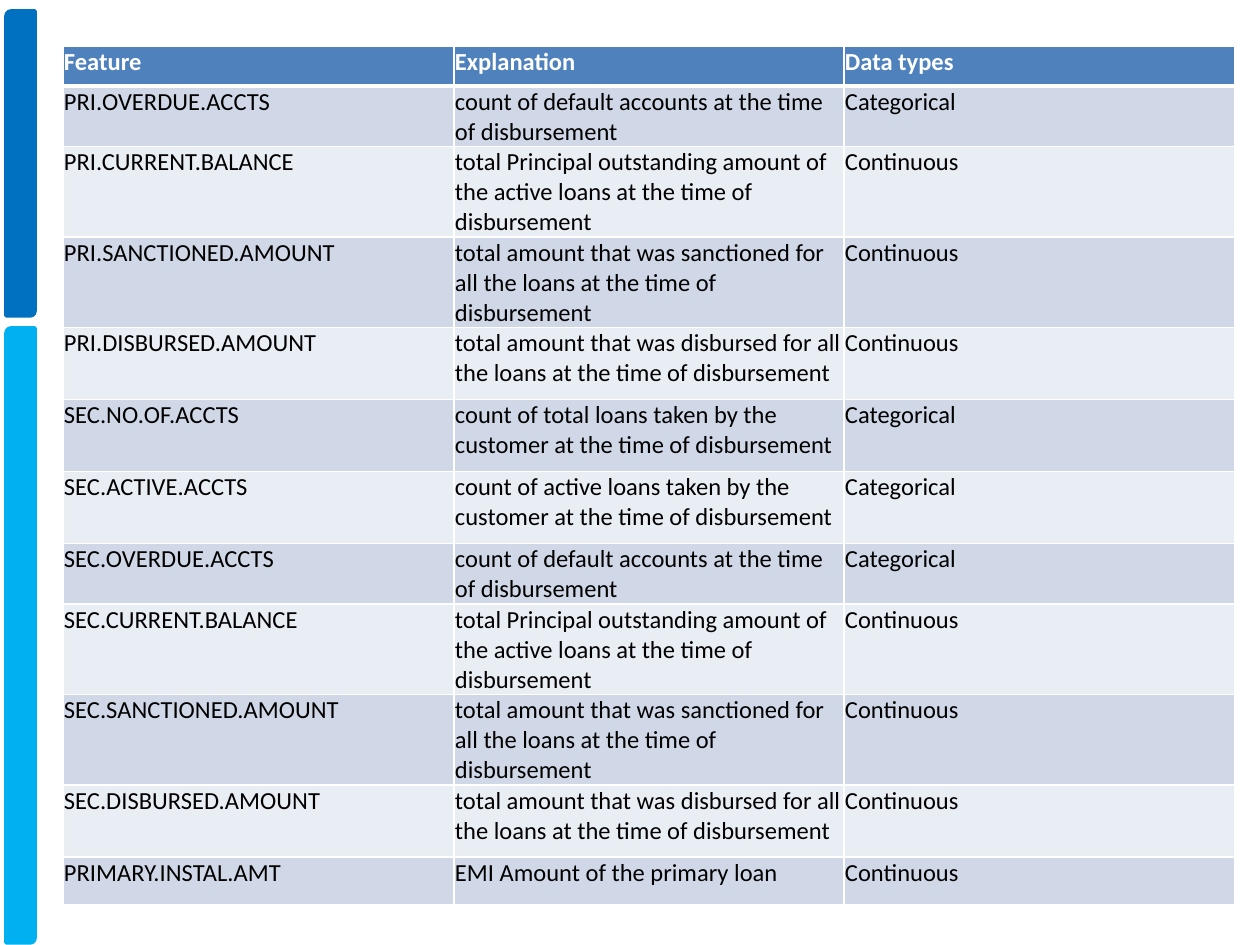
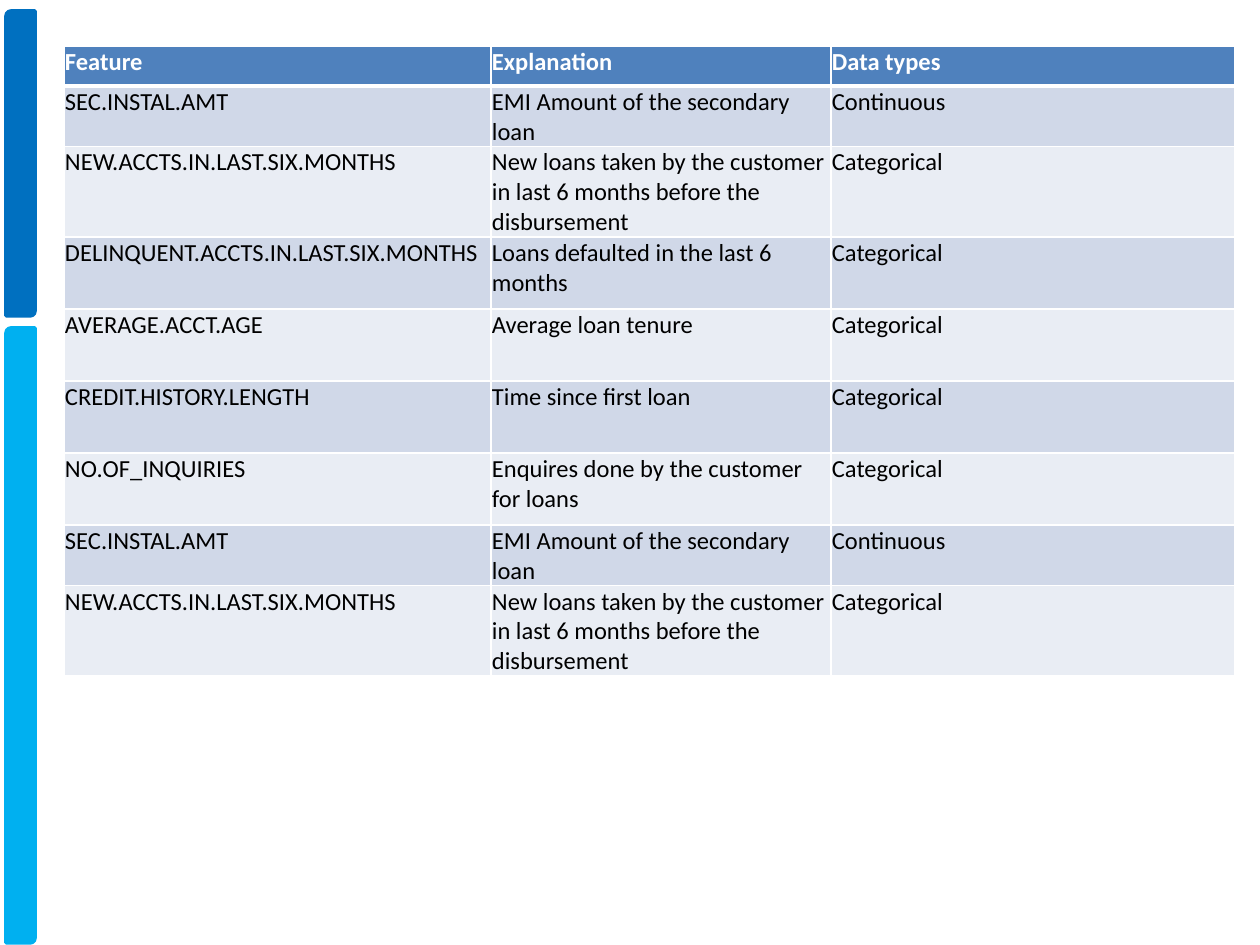
import pptx
import pptx.util
import pptx.dml.color
import pptx.enum.shapes
import pptx.oxml
import pptx.oxml.ns

RGB = pptx.dml.color.RGBColor
NAVY = RGB(0x00, 0x70, 0xC0)
SKY = RGB(0x00, 0xB0, 0xF0)
HEAD = RGB(0x4F, 0x81, 0xBD)
DARK = RGB(0xD0, 0xD8, 0xE8)
LIGHT = RGB(0xE9, 0xED, 0xF4)
WHITE = RGB(0xFF, 0xFF, 0xFF)
BLACK = RGB(0x00, 0x00, 0x00)

SCALE = 914400 / 126  # EMU in one px


def px(n):
    return pptx.util.Emu(round(n * SCALE))


def assign(obj, values):
    for name, value in values.items():
        setattr(obj, name, value)


class Deck:
    font = {"name": "Calibri", "size": pptx.util.Pt(14)}
    inset = {"margin_left": px(1), "margin_right": px(1),
             "margin_top": px(1), "margin_bottom": 0}
    bars = ((11, 305, NAVY), (328, 615, SKY))

    def __init__(self):
        self.prs = pptx.Presentation()
        assign(self.prs, {"slide_width": px(1260), "slide_height": px(945)})

    def page(self):
        self.slide = self.prs.slides.add_slide(self.prs.slide_layouts[6])
        for top, height, color in self.bars:
            self.bar(6, top, 29, height, color)

    def bar(self, left, top, width, height, color):
        kind = pptx.enum.shapes.MSO_SHAPE.ROUND_2_DIAG_RECTANGLE
        shape = self.slide.shapes.add_shape(
            kind, px(left), px(top), px(width), px(height))
        shape.shadow.inherit = False
        shape.fill.solid()
        shape.fill.fore_color.rgb = color
        shape.line.color.rgb = color
        shape.line.width = pptx.util.Pt(2)

    def edges(self, cell, top, bottom):
        props = cell._tc.get_or_add_tcPr()
        for side, width in (("L", 1), ("R", 1), ("T", top), ("B", bottom)):
            props.append(pptx.oxml.parse_xml(
                f'<a:ln{side} {pptx.oxml.ns.nsdecls("a")} w="{pptx.util.Pt(width)}">'
                f'<a:solidFill><a:srgbClr val="{WHITE}"/></a:solidFill></a:ln{side}>'))

    def cell(self, cell, text, row):
        # A thick rule parts the header from the body
        self.edges(cell, 3 if row == 1 else 1, 3 if row == 0 else 1)
        cell.fill.solid()
        cell.fill.fore_color.rgb = HEAD if row == 0 else DARK if row % 2 else LIGHT
        assign(cell, self.inset)
        run = cell.text_frame.paragraphs[0].add_run()
        run.text = text
        assign(run.font, self.font)
        run.font.bold = row == 0
        run.font.color.rgb = WHITE if row == 0 else BLACK

    def table(self, left, top, widths, heights, rows):
        frame = self.slide.shapes.add_table(
            len(rows), len(widths), px(left), px(top),
            px(sum(widths)), px(sum(heights)))
        table = frame.table
        table.horz_banding = False
        for col, width in zip(table.columns, widths):
            col.width = px(width)
        for r, (height, texts) in enumerate(zip(heights, rows)):
            table.rows[r].height = px(height)
            for c, text in enumerate(texts):
                self.cell(table.cell(r, c), text, r)


# Shared wording
TITLES = ("Feature", "Explanation", "Data types")
CAT, CONT = "Categorical", "Continuous"
TIME = "at the time of disbursement"
OVERDUE = (f"count of default accounts {TIME}", CAT)


def sums(group):
    return [
        (f"{group}.CURRENT.BALANCE",
         f"total Principal outstanding amount of the active loans {TIME}", CONT),
        (f"{group}.SANCTIONED.AMOUNT",
         f"total amount that was sanctioned for all the loans {TIME}", CONT),
        (f"{group}.DISBURSED.AMOUNT",
         f"total amount that was disbursed for all the loans {TIME}", CONT),
    ]


LOANS = [
    TITLES,
    ("PRI.OVERDUE.ACCTS", *OVERDUE),
    *sums("PRI"),
    ("SEC.NO.OF.ACCTS", f"count of total loans taken by the customer {TIME}", CAT),
    ("SEC.ACTIVE.ACCTS", f"count of active loans taken by the customer {TIME}", CAT),
    ("SEC.OVERDUE.ACCTS", *OVERDUE),
    *sums("SEC"),
    ("PRIMARY.INSTAL.AMT", "EMI Amount of the primary loan", CONT),
]

RECENT = [
    ("SEC.INSTAL.AMT", "EMI Amount of the secondary loan", CONT),
    ("NEW.ACCTS.IN.LAST.SIX.MONTHS",
     "New loans taken by the customer in last 6 months before the disbursement", CAT),
]
HISTORY = [
    TITLES,
    *RECENT,
    ("DELINQUENT.ACCTS.IN.LAST.SIX.MONTHS", "Loans defaulted in the last 6 months", CAT),
    ("AVERAGE.ACCT.AGE", "Average loan tenure", CAT),
    ("CREDIT.HISTORY.LENGTH", "Time since first loan", CAT),
    ("NO.OF_INQUIRIES", "Enquires done by the customer for loans", CAT),
    *RECENT,
]

# Row heights: header, short row, tall row
TOP, LOW, TALL = 40, 48, 72


def main():
    deck = Deck()

    # Loan amounts and counts
    deck.page()
    deck.table(63, 46, (391, 390, 391),
               [TOP, LOW, *[TALL] * 5, LOW, *[TALL] * 3, LOW], LOANS)

    # Credit history
    deck.page()
    deck.table(64, 46, (427, 340, 404),
               [TOP, LOW, *[TALL] * 5, LOW, TALL], HISTORY)

    deck.prs.save("out.pptx")


if __name__ == "__main__":
    main()
